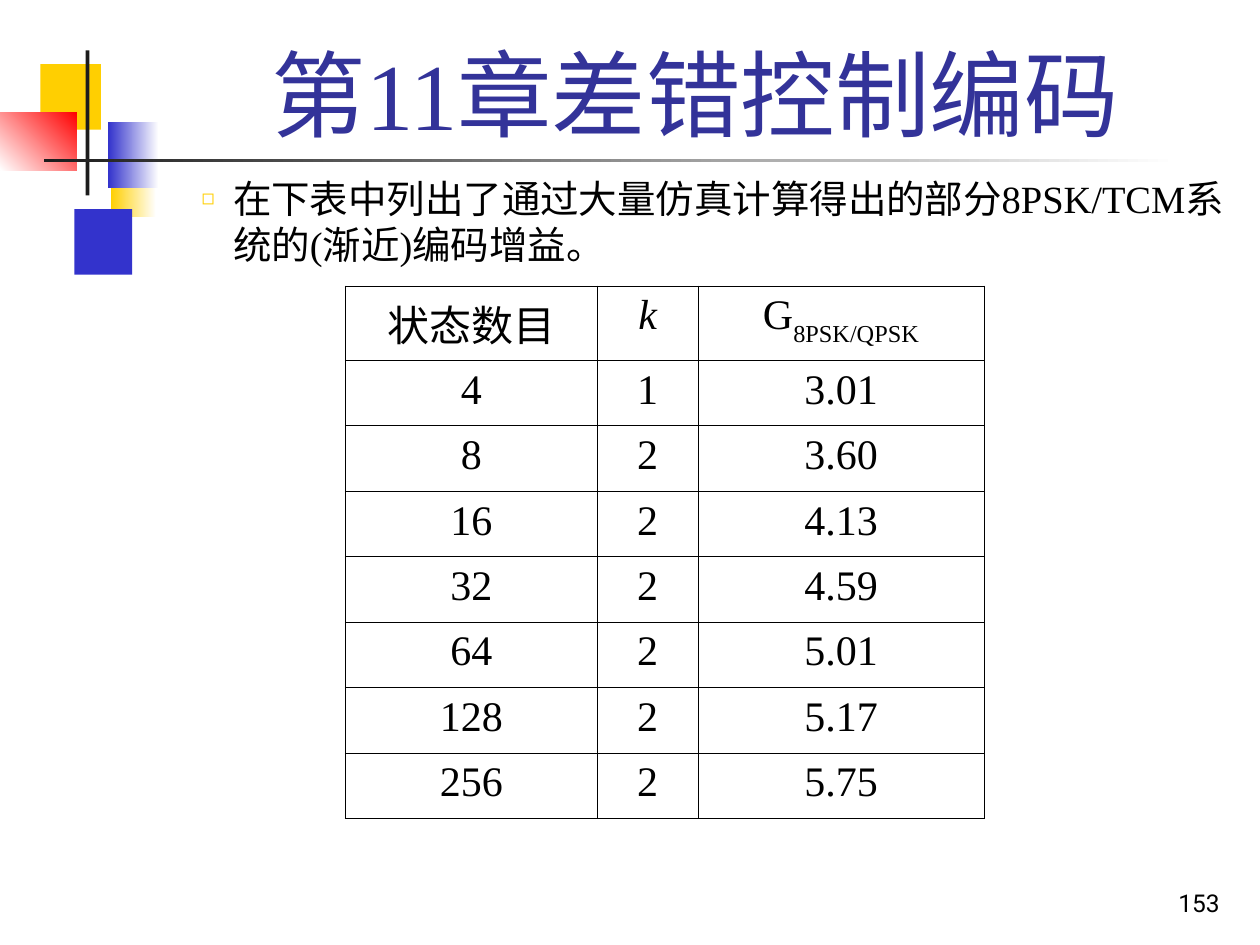
from lxml.etree import SubElement as Sub
from pptx import Presentation
from pptx.dml.color import RGBColor
from pptx.enum.shapes import MSO_SHAPE as Form
from pptx.enum.text import MSO_ANCHOR as Anchor, MSO_AUTO_SIZE as Fit, PP_ALIGN as Align
from pptx.oxml.ns import qn
from pptx.util import Inches, Pt

SERIF = "Times New Roman"
BLACK, WHITE, GOLD, BLUE, DARK = "000000", "FFFFFF", "FFCF01", "3333CC", "1C1C1C"

# left, top, width, height, colours, angle
DECOR = [
    (0.88, 1.2, 0.36, 0.52, (WHITE, GOLD), 180),
    (0.59, 1.66, 0.46, 0.52, (BLUE,), 0),
    (0.32, 0.51, 0.48, 0.52, (GOLD,), 0),
    (0.86, 0.97, 0.4, 0.52, (WHITE, BLUE), 180),
    (0, 0.89, 0.61, 0.46, ("FF0000", WHITE), 225),
    (0.68, 0.4, 0.03, 1.15, (DARK,), 0),
    (0.35, 1.26, 9, 0.03, (WHITE, DARK), 180),
]
GAINS = [
    ("4", "1", "3.01"),
    ("8", "2", "3.60"),
    ("16", "2", "4.13"),
    ("32", "2", "4.59"),
    ("64", "2", "5.01"),
    ("128", "2", "5.17"),
    ("256", "2", "5.75"),
]


def rgb(code):
    return RGBColor.from_string(code)


class Page:
    """Holds the text style and the slide being built."""

    def __init__(self, slide):
        self.slide = slide
        self.shapes = slide.shapes
        self.style = {"name": SERIF, "bold": False, "italic": False}

    def add_text(self, para, text, size, color=BLACK, **extra):
        run = para.add_run()
        run.text = text
        look = {**self.style, "size": Pt(size), **extra}
        for key, value in look.items():
            setattr(run.font, key, value)
        run.font.color.rgb = rgb(color)
        return run

    def block(self, left, top, width, height, colors, angle):
        box = self.shapes.add_shape(
            Form.RECTANGLE, Inches(left), Inches(top), Inches(width), Inches(height))
        box.shadow.inherit = False
        box.line.fill.background()
        if len(colors) == 1:
            box.fill.solid()
            box.fill.fore_color.rgb = rgb(colors[0])
            return
        box.fill.gradient()
        box.fill.gradient_angle = angle
        for stop, color in zip(box.fill.gradient_stops, colors):
            stop.color.rgb = rgb(color)

    def frame(self, box, anchor, align):
        """Set up the text frame and return its first paragraph."""
        frame = box.text_frame
        look = {"word_wrap": True, "auto_size": Fit.NONE, "vertical_anchor": anchor}
        for key, value in look.items():
            setattr(frame, key, value)
        para = frame.paragraphs[0]
        para.alignment = align
        return para

    def holder(self, index, left, top, width, height, anchor, align):
        """Move a placeholder, bring it to the front and return its paragraph."""
        box = self.slide.placeholders[index]
        place = {"left": left, "top": top, "width": width, "height": height}
        for key, value in place.items():
            setattr(box, key, Inches(value))
        self.shapes._spTree.append(box._element)
        return self.frame(box, anchor, align)

    def title(self, text):
        para = self.holder(0, 1.26, 0.23, 8.52, 1.01, Anchor.BOTTOM, Align.CENTER)
        self.add_text(para, text, 54, "333399")

    def body(self, text):
        para = self.holder(1, 0, 1.34, 10, 6.16, Anchor.TOP, Align.LEFT)
        para.level = 3
        props = para._p.get_or_add_pPr()
        props.set("marL", str(Inches(1.75)))
        props.set("indent", str(Inches(-0.25)))
        Sub(Sub(props, qn("a:buClr")), qn("a:srgbClr"), val=GOLD)
        Sub(props, qn("a:buSzPct"), val="55000")
        Sub(props, qn("a:buChar"), char="◻")
        para.space_before = Pt(0)
        self.add_text(para, text, 22)

    def border(self, cell):
        props = cell._tc.get_or_add_tcPr()
        for side in ("lnL", "lnR", "lnT", "lnB"):
            line = Sub(props, qn(f"a:{side}"), w=str(Pt(0.45)))
            Sub(Sub(line, qn("a:solidFill")), qn("a:srgbClr"), val=BLACK)

    def table(self, left, top, widths, heights, rows):
        grid = self.shapes.add_table(
            len(heights), len(widths), Inches(left), Inches(top),
            Inches(sum(widths)), Inches(sum(heights))).table
        grid.first_row = grid.horz_banding = False
        for col, width in zip(grid.columns, widths):
            col.width = Inches(width)
        for row, height, texts in zip(grid.rows, heights, rows):
            row.height = Inches(height)
            for cell, text in zip(row.cells, texts):
                self.border(cell)
                cell.fill.background()
                para = cell.text_frame.paragraphs[0]
                para.alignment = Align.CENTER
                base, _, sub = text.partition("_")
                self.add_text(para, base, 24, italic=base == "k")
                if sub:
                    low = self.add_text(para, sub, 24)
                    low._r.get_or_add_rPr().set("baseline", "-30000")

    def number(self, text):
        box = self.shapes.add_textbox(Inches(7.7), Inches(6.83), Inches(2.08), Inches(0.5))
        para = self.frame(box, Anchor.BOTTOM, Align.RIGHT)
        self.add_text(para, text, 14, name="Roboto")


def main():
    deck = Presentation()
    deck.slide_width, deck.slide_height = Inches(10), Inches(7.5)
    page = Page(deck.slides.add_slide(deck.slide_layouts[1]))
    for item in DECOR:
        page.block(*item)
    page.title("第11章差错控制编码")
    page.body("在下表中列出了通过大量仿真计算得出的部分8PSK/TCM系统的(渐近)编码增益。")
    head = ("状态数目", "k", "G_8PSK/QPSK")
    page.table(2.74, 2.27, [2, 0.8, 2.27], [0.59] + [0.52] * len(GAINS), [head] + GAINS)
    page.number("153")
    deck.save("out.pptx")


if __name__ == "__main__":
    main()
